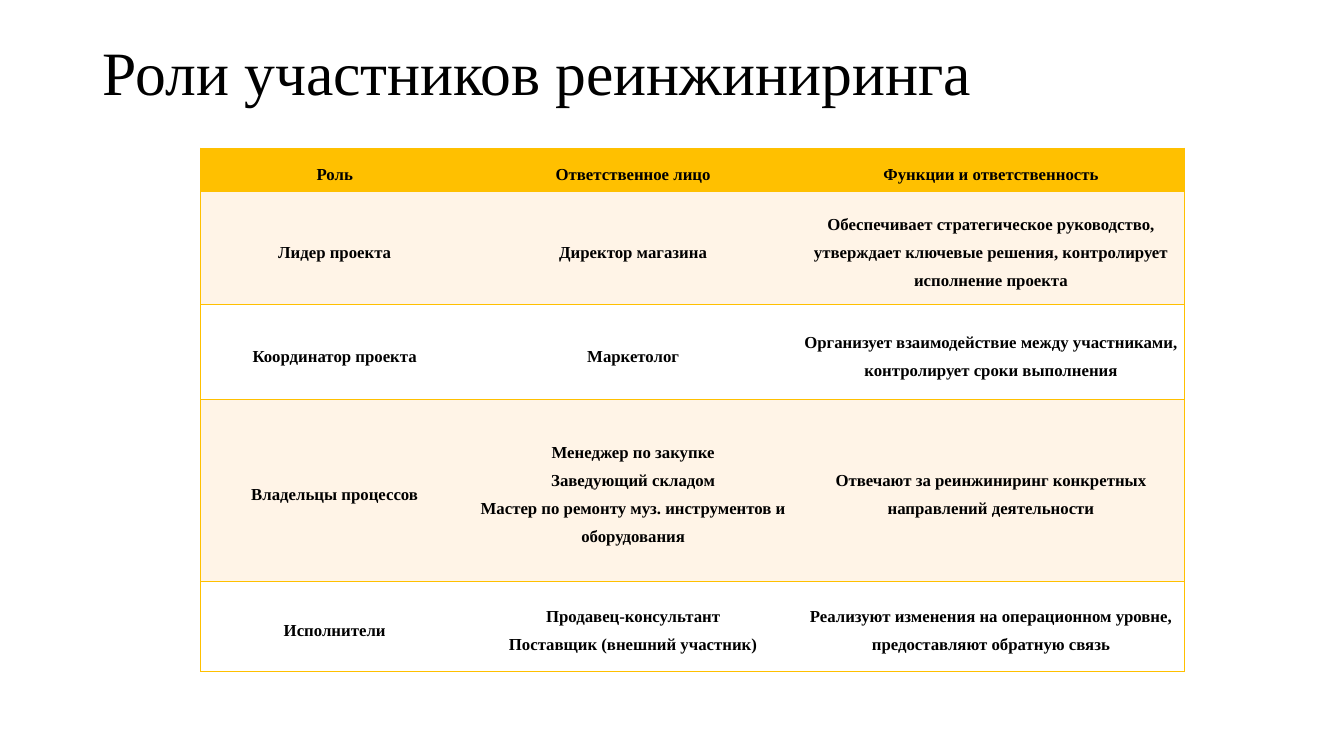
import dataclasses
import typing

import lxml.etree
import pptx
import pptx.dml.color
import pptx.enum.text
import pptx.oxml.ns
import pptx.util

Inches = pptx.util.Inches


@dataclasses.dataclass(frozen=True)
class Theme:
    font: str = "Times New Roman"
    ink: str = "000000"
    gold: str = "FFC000"
    cream: str = "FFF4E7"
    white: str = "FFFFFF"
    title: float = 44
    body: float = 12
    rule: float = 1


@dataclasses.dataclass(frozen=True)
class Row:
    height: float
    role: str
    person: str
    duty: str


THEME = Theme()
WIDTHS = (2.66, 3.26, 3.84)
ROWS = (
    Row(0.43, "Роль", "Ответственное лицо", "Функции и ответственность"),
    Row(1.12, "Лидер проекта", "Директор магазина",
        "Обеспечивает стратегическое руководство, утверждает ключевые решения, "
        "контролирует исполнение проекта"),
    Row(0.94, "Координатор проекта", "Маркетолог",
        "Организует взаимодействие между участниками, контролирует сроки выполнения"),
    Row(1.81, "Владельцы процессов",
        "Менеджер по закупке\nЗаведующий складом\n"
        "Мастер по ремонту муз. инструментов и оборудования",
        "Отвечают за реинжиниринг конкретных направлений деятельности"),
    Row(0.89, "Исполнители", "Продавец-консультант\nПоставщик (внешний участник)",
        "Реализуют изменения на операционном уровне, предоставляют обратную связь"),
)


def color(code: str) -> pptx.dml.color.RGBColor:
    return pptx.dml.color.RGBColor.from_string(code)


def write(frame: typing.Any, text: str, *, size: float, bold: bool = False,
          align: typing.Any = pptx.enum.text.PP_ALIGN.LEFT, spacing: float = 1.0) -> None:
    """Fill a text frame, one paragraph per line of text."""
    frame.word_wrap = True
    frame.text = text
    for para in frame.paragraphs:
        para.alignment = align
        para.line_spacing = spacing
        for run in para.runs:
            run.font.name = THEME.font
            run.font.size = pptx.util.Pt(size)
            run.font.bold = bold
            run.font.color.rgb = color(THEME.ink)


def border(cell: typing.Any, sides: str) -> None:
    """Rule the listed sides (of L, R, T, B) and clear the others."""
    name = pptx.oxml.ns.qn
    props = cell._tc.get_or_add_tcPr()
    for side in "LRTB":
        line = lxml.etree.SubElement(props, name(f"a:ln{side}"),
                                     w=str(pptx.util.Pt(THEME.rule)))
        if side in sides:
            fill = lxml.etree.SubElement(line, name("a:solidFill"))
            lxml.etree.SubElement(fill, name("a:srgbClr"), val=THEME.gold)
        else:
            lxml.etree.SubElement(line, name("a:noFill"))


def draw_cell(cell: typing.Any, text: str, fill: str, sides: str) -> None:
    border(cell, sides)
    cell.fill.solid()
    cell.fill.fore_color.rgb = color(fill)
    cell.margin_left = cell.margin_right = Inches(0.05)
    cell.margin_top = cell.margin_bottom = Inches(0)
    cell.vertical_anchor = pptx.enum.text.MSO_ANCHOR.MIDDLE
    write(cell.text_frame, text, size=THEME.body, bold=True,
          align=pptx.enum.text.PP_ALIGN.CENTER, spacing=1.5)


def draw_title(slide: typing.Any, text: str) -> None:
    box = slide.shapes.add_textbox(Inches(0.92), Inches(0.02), Inches(11.5), Inches(1.45))
    box.text_frame.vertical_anchor = pptx.enum.text.MSO_ANCHOR.MIDDLE
    write(box.text_frame, text, size=THEME.title, spacing=0.9)


def draw_table(slide: typing.Any) -> None:
    table = slide.shapes.add_table(
        len(ROWS), len(WIDTHS), Inches(1.99), Inches(1.47),
        Inches(sum(WIDTHS)), Inches(sum(row.height for row in ROWS))).table
    table.first_row = table.horz_banding = False
    for col, width in zip(table.columns, WIDTHS):
        col.width = Inches(width)
    for y, row in enumerate(ROWS):
        table.rows[y].height = Inches(row.height)
        fill = THEME.gold if y == 0 else (THEME.white, THEME.cream)[y % 2]
        for x, text in enumerate((row.role, row.person, row.duty)):
            draw_cell(table.cell(y, x), text, fill, ("LTB", "TB", "RTB")[x])


def main() -> None:
    deck = pptx.Presentation()
    deck.slide_width, deck.slide_height = Inches(13.33), Inches(7.5)
    slide = deck.slides.add_slide(deck.slide_layouts[6])
    draw_title(slide, "Роли участников реинжиниринга")
    draw_table(slide)
    deck.save("out.pptx")


if __name__ == "__main__":
    main()
